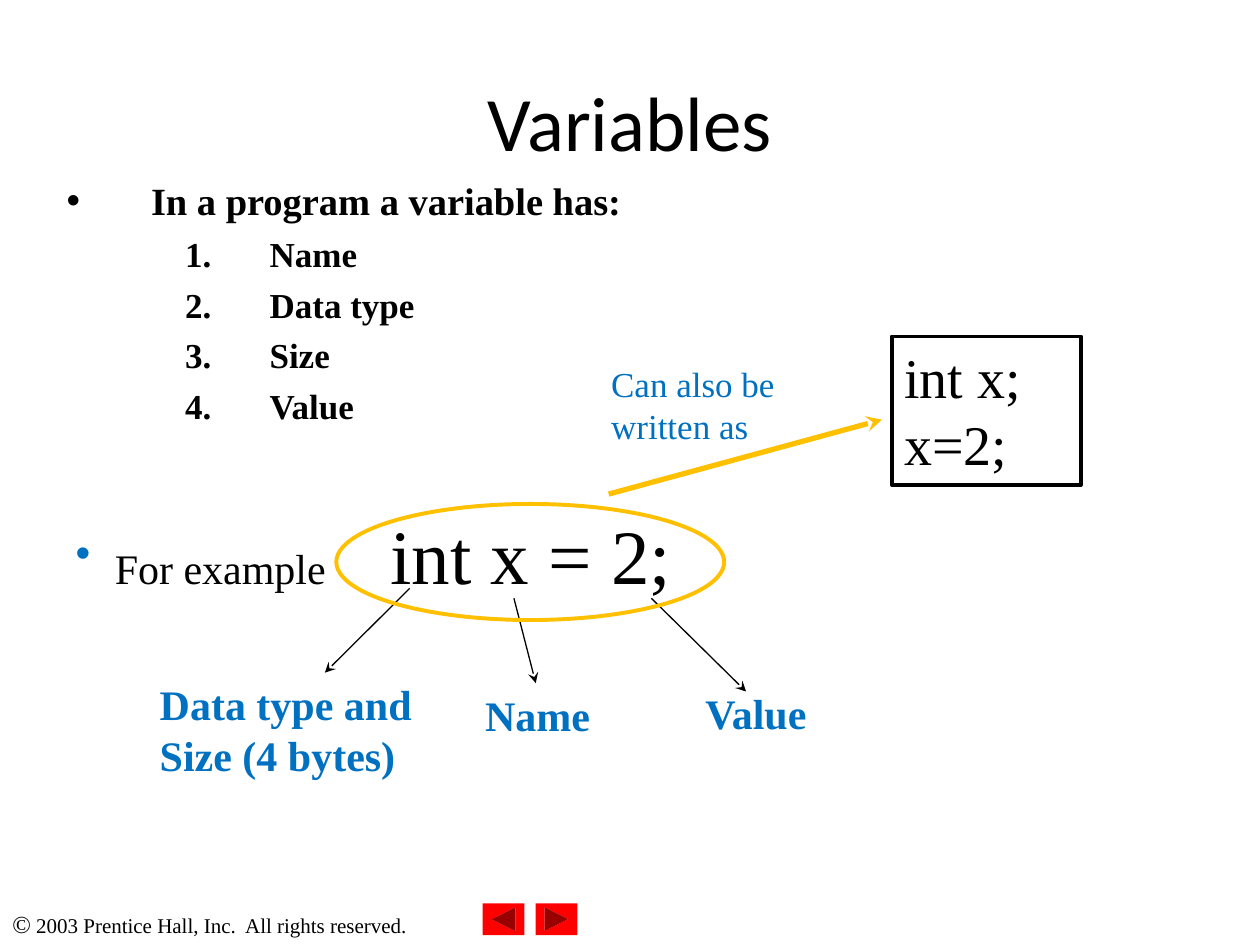
from dataclasses import dataclass

import pptx
import pptx.dml.color
import pptx.enum.dml
import pptx.enum.shapes
import pptx.enum.text
import pptx.oxml
import pptx.oxml.ns
import pptx.util
from lxml import etree

Cm = pptx.util.Cm
Pt = pptx.util.Pt
RGBColor = pptx.dml.color.RGBColor
Shapes = pptx.enum.shapes.MSO_SHAPE

BLACK = RGBColor(0x00, 0x00, 0x00)
WHITE = RGBColor(0xFF, 0xFF, 0xFF)
BLUE = RGBColor(0x00, 0x70, 0xC0)
GOLD = RGBColor(0xFF, 0xC0, 0x00)
RED = RGBColor(0xFF, 0x00, 0x00)
SERIF = "Times New Roman"


@dataclass
class Label:
    text: str
    area: tuple[float, float, float, float]
    size: float
    bold: bool = False


@dataclass
class Arrow:
    start: tuple[float, float]
    end: tuple[float, float]
    color: RGBColor = BLACK
    width: float = 0.75


@dataclass
class Item:
    text: str
    size: float
    margin: float
    hanging: float
    before: float = 0
    bold: bool = True
    numbered: bool = False
    bullet_color: RGBColor = BLACK


ITEMS = [
    Item("In a program a variable has:", 22, 2.79, 1.7),
    *[Item(name, 20, 5.18, 1.7, before=5, numbered=True)
      for name in ("Name", "Data type", "Size", "Value")],
    Item("For example \t", 24, 2.06, 0.79, before=46, bold=False, bullet_color=BLUE),
]
LABELS = [
    Label("Data type and Size (4 bytes)", (2.97, 13.56, 5.92, 2.31), 24, True),
    Label("Name", (9.53, 13.77, 3.61, 1.27), 24, True),
    Label("Value", (13.97, 13.74, 3.61, 1.27), 24, True),
    Label("Can also be written as", (12.07, 7.19, 3.81, 1.96), 20),
]
ARROWS = [
    Arrow((8.26, 11.86), (6.55, 13.56)),
    Arrow((10.36, 12.06), (10.8, 13.77)),
    Arrow((13.13, 12.06), (15.04, 13.94)),
    Arrow((12.27, 9.96), (17.78, 8.46), GOLD, 3),
]


def lengths(*values: float) -> list:
    return [Cm(value) for value in values]


def place(shape, area: tuple[float, float, float, float]) -> None:
    shape.left, shape.top, shape.width, shape.height = lengths(*area)


def style(span, size: float, color: RGBColor = BLACK, bold: bool = False,
          name: str = SERIF) -> None:
    span.font.name = name
    span.font.size = Pt(size)
    span.font.bold = bold
    span.font.color.rgb = color


def add_child(parent, tag: str, **attributes: str):
    return etree.SubElement(parent, pptx.oxml.ns.qn(tag), **attributes)


def add_item(paragraph, item: Item) -> None:
    paragraph.text = item.text
    paragraph.space_before = Pt(item.before)
    properties = paragraph._p.get_or_add_pPr()
    properties.set("marL", str(Cm(item.margin)))
    properties.set("indent", str(-Cm(item.hanging)))
    add_child(add_child(properties, "a:buClr"), "a:srgbClr", val=str(item.bullet_color))
    if item.numbered:
        add_child(properties, "a:buFontTx")
        add_child(properties, "a:buAutoNum", type="arabicPeriod")
    else:
        add_child(properties, "a:buChar", char="•")
    style(paragraph.runs[0], item.size, bold=item.bold)


def add_label(page, label: Label) -> None:
    box = page.shapes.add_textbox(*lengths(*label.area))
    box.text_frame.word_wrap = True
    box.text_frame.text = label.text
    style(box.text_frame.paragraphs[0].runs[0], label.size, BLUE, label.bold)


def add_arrow(page, arrow: Arrow) -> None:
    line = page.shapes.add_connector(
        pptx.enum.shapes.MSO_CONNECTOR.STRAIGHT, *lengths(*arrow.start, *arrow.end))
    line.line.color.rgb = arrow.color
    line.line.width = Pt(arrow.width)
    add_child(line.line._get_or_add_ln(), "a:tailEnd", type="stealth")
    add_child(line._element.spPr, "a:effectLst")


def add_shape(page, kind, area: tuple[float, float, float, float],
              fill: RGBColor | None = None, outline: RGBColor | None = None,
              width: float = 1):
    shape = page.shapes.add_shape(kind, *lengths(*area))
    shape.shadow.inherit = False
    if fill is None:
        shape.fill.background()
    else:
        shape.fill.solid()
        shape.fill.fore_color.rgb = fill
    if outline is None:
        shape.line.fill.background()
    else:
        shape.line.color.rgb = outline
        shape.line.width = Pt(width)
    return shape


def main() -> None:
    deck = pptx.Presentation()
    deck.slide_width, deck.slide_height = lengths(25.4, 19.05)
    page = deck.slides.add_slide(deck.slide_layouts[1])

    # Footer and navigation buttons
    footer = page.shapes.add_textbox(*lengths(0, 18.21, 9.96, 0.84))
    footer.text_frame.word_wrap = True
    paragraph = footer.text_frame.paragraphs[0]
    for text, size in (("©", 14), (" 2003 Prentice Hall, Inc.  All rights reserved.", 12)):
        span = paragraph.add_run()
        span.text = text
        style(span, size)
    for left, turn in ((10.8, 0), (9.73, 180)):
        button = add_shape(page, Shapes.ACTION_BUTTON_FORWARD_OR_NEXT,
                           (left, 18.21, 0.84, 0.64), RED)
        button.rotation = turn

    # Title
    title = page.shapes.title
    place(title, (1.27, 0.84, 22.86, 3.18))
    title.text_frame.text = "Variables"
    style(title.text_frame.paragraphs[0].runs[0], 44, name="Calibri")

    # List, ending with the example statement
    body = page.placeholders[1]
    place(body, (0, 3.45, 24.77, 14.54))
    frame = body.text_frame
    frame.auto_size = pptx.enum.text.MSO_AUTO_SIZE.NONE
    for index, item in enumerate(ITEMS):
        paragraph = frame.add_paragraph() if index else frame.paragraphs[0]
        add_item(paragraph, item)
    statement = frame.paragraphs[-1].add_run()
    statement.text = "int x = 2;"
    style(statement, 44)

    # Two-line form of the statement
    code = add_shape(page, Shapes.RECTANGLE, (17.98, 6.78, 3.81, 3), WHITE, BLACK, 2)
    code.text_frame.text = "int x;\nx=2;"
    code.text_frame.vertical_anchor = pptx.enum.text.MSO_ANCHOR.TOP
    for paragraph in code.text_frame.paragraphs:
        paragraph.alignment = pptx.enum.text.PP_ALIGN.LEFT
        style(paragraph.runs[0], 32)

    # Annotations
    for arrow in ARROWS:
        add_arrow(page, arrow)
    for label in LABELS:
        add_label(page, label)
    add_shape(page, Shapes.OVAL, (6.78, 10.16, 7.82, 2.34), outline=GOLD, width=2.25)

    deck.save("out.pptx")


if __name__ == "__main__":
    main()
